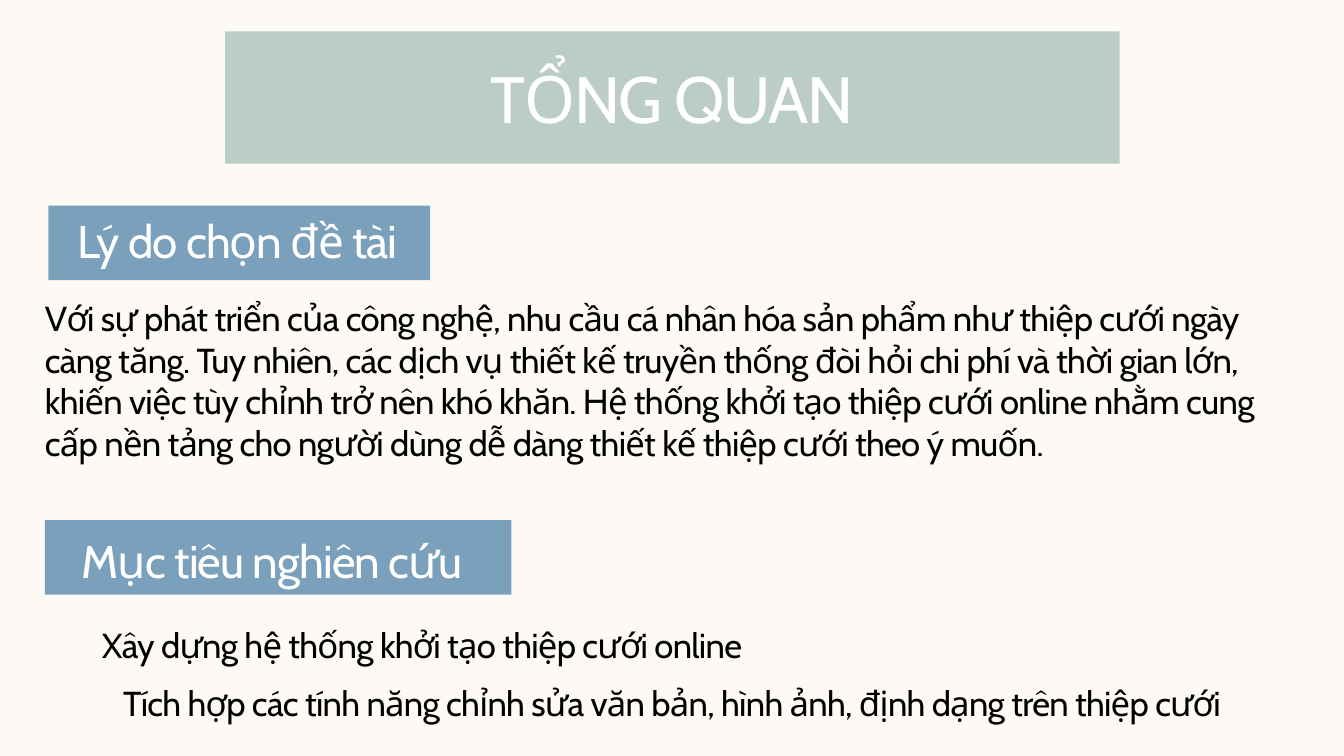
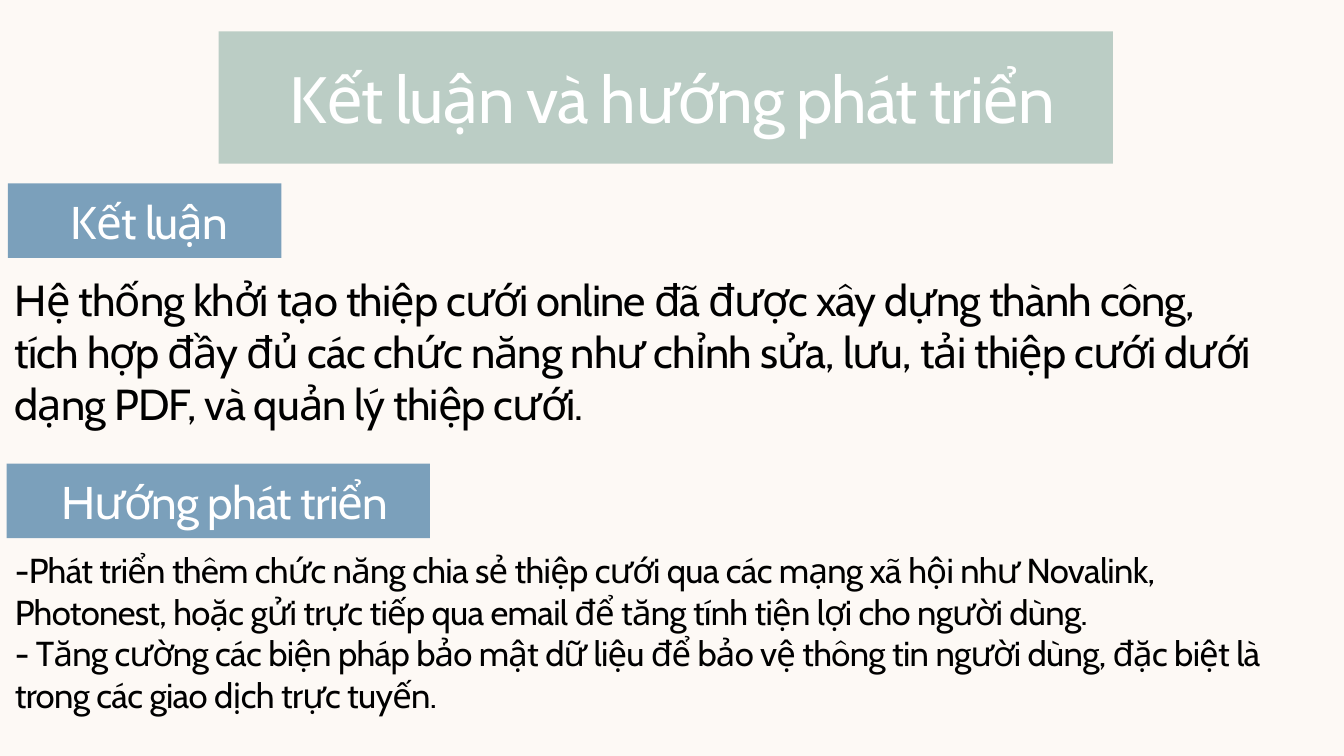
"""Build two overview and conclusion slides about an online wedding card system."""
from dataclasses import dataclass

from lxml import etree
from pptx import Presentation
from pptx import util as u
from pptx.dml.color import RGBColor
from pptx.enum import shapes, text
from pptx.oxml.ns import qn


@dataclass(frozen=True)
class Theme:
    font: str = "Cabin"
    page: str = "FDF9F5"
    title_band: str = "BBCDC5"
    heading_band: str = "7BA0BB"
    light: str = "FFFFFF"
    dark: str = "000000"
    title_size: float = 70.1
    heading_size: float = 49.1
    large_size: float = 46.5
    body_size: float = 37.1
    line_factor: float = 1.2
    tracking: float = -0.02


THEME = Theme()
WIDTH, HEIGHT = 50.8, 28.58
TITLE_BAND = (1.19, 33.81, 5.0)
TITLE_TEXT = (8.51, 2.21, 33.81, 3.0)
HEADING_BAND_HEIGHT, HEADING_TEXT_HEIGHT = 2.82, 2.06
LEFT, CENTER = text.PP_ALIGN.LEFT, text.PP_ALIGN.CENTER

PAGES = [
    {
        "title": "TỔNG QUAN",
        "band_left": 8.51,
        "headings": [
            {"text": "Lý do chọn đề tài", "band": (1.83, 7.77, 14.43), "label": (1.14, 8.03, 15.7)},
            {"text": "Mục tiêu nghiên cứu", "band": (1.7, 19.66, 17.63), "label": (1.22, 20.14, 18.14)},
        ],
        "body": {
            "lines": [
                "Với sự phát triển của công nghệ, nhu cầu cá nhân hóa sản phẩm như thiệp cưới ngày "
                "càng tăng. Tuy nhiên, các dịch vụ thiết kế truyền thống đòi hỏi chi phí và thời gian "
                "lớn, khiến việc tùy chỉnh trở nên khó khăn. Hệ thống khởi tạo thiệp cưới online nhằm "
                "cung cấp nền tảng cho người dùng dễ dàng thiết kế thiệp cưới theo ý muốn."
            ],
            "area": (1.7, 11.23, 46.23, 7.95),
        },
        "notes": [
            {
                "line": "Xây dựng hệ thống khởi tạo thiệp cưới online",
                "area": (1.22, 23.57, 29.46, 1.55), "size": THEME.body_size, "align": CENTER,
            },
            {
                "line": "Tích hợp các tính năng chỉnh sửa văn bản, hình ảnh, định dạng trên thiệp cưới",
                "area": (0.61, 25.78, 49.58, 1.55), "size": THEME.body_size, "align": CENTER,
            },
        ],
    },
    {
        "title": "Kết luận và hướng phát triển",
        "band_left": 8.26,
        "headings": [
            {"text": "Kết luận", "band": (0.3, 6.93, 10.34), "label": (-0.48, 7.32, 12.27)},
            {"text": "Hướng phát triển", "band": (0.25, 17.53, 16.0), "label": (-0.97, 17.91, 18.95)},
        ],
        "body": {
            "lines": [
                "-Phát triển thêm chức năng chia sẻ thiệp cưới qua các mạng xã hội như Novalink, "
                "Photonest, hoặc gửi trực tiếp qua email để tăng tính tiện lợi cho người dùng.",
                "- Tăng cường các biện pháp bảo mật dữ liệu để bảo vệ thông tin người dùng, đặc biệt là "
                "trong các giao dịch trực tuyến.",
            ],
            "area": (0.56, 20.75, 49.02, 7.82),
        },
        "notes": [
            {
                "line": "Hệ thống khởi tạo thiệp cưới online đã được xây dựng thành công, tích hợp đầy đủ "
                "các chức năng như chỉnh sửa, lưu, tải thiệp cưới dưới dạng PDF, và quản lý thiệp cưới.",
                "area": (0.56, 10.31, 46.74, 7.9), "size": THEME.large_size, "align": LEFT,
            },
        ],
    },
]


def color(value):
    return RGBColor.from_string(value)


def add_band(page, area, fill):
    band = page.shapes.add_shape(shapes.MSO_SHAPE.RECTANGLE, *map(u.Cm, area))
    band.shadow.inherit = False
    band.fill.solid()
    band.fill.fore_color.rgb = color(fill)
    band.line.fill.background()


def add_box(page):
    return page.shapes.add_textbox(0, 0, 0, 0)


def write(page, box, area, lines, size, ink, align):
    page.shapes._spTree.append(box._element)
    box.left, box.top, box.width, box.height = map(u.Cm, area)
    frame = box.text_frame
    frame.text = "\n".join(lines)
    frame.word_wrap = True
    frame.auto_size = text.MSO_AUTO_SIZE.NONE
    frame.vertical_anchor = text.MSO_ANCHOR.TOP
    frame.margin_left = frame.margin_top = frame.margin_right = frame.margin_bottom = 0
    for para in frame.paragraphs:
        settings = para._p.get_or_add_pPr()
        settings.set("marL", "0")
        settings.set("indent", "0")
        etree.SubElement(settings, qn("a:buNone"))
        para.alignment = align
        para.line_spacing = u.Pt(size * THEME.line_factor)
        para.space_before = para.space_after = u.Pt(0)
        for span in para.runs:
            span.font.name = THEME.font
            span.font.size = u.Pt(size)
            span.font.color.rgb = color(ink)
            span._r.get_or_add_rPr().set("spc", str(round(size * THEME.tracking * 100)))


def build_page(deck, content):
    page = deck.slides.add_slide(deck.slide_layouts[1])
    title, body = page.placeholders
    top, width, height = TITLE_BAND
    add_band(page, (content["band_left"], top, width, height), THEME.title_band)
    write(page, title, TITLE_TEXT, [content["title"]], THEME.title_size, THEME.light, CENTER)
    for heading in content["headings"]:
        add_band(page, (*heading["band"], HEADING_BAND_HEIGHT), THEME.heading_band)
        write(page, add_box(page), (*heading["label"], HEADING_TEXT_HEIGHT),
              [heading["text"]], THEME.heading_size, THEME.light, CENTER)
    for note in content["notes"]:
        write(page, add_box(page), note["area"], [note["line"]], note["size"], THEME.dark, note["align"])
    write(page, body, content["body"]["area"], content["body"]["lines"],
          THEME.body_size, THEME.dark, LEFT)


def main():
    deck = Presentation()
    deck.slide_width, deck.slide_height = u.Cm(WIDTH), u.Cm(HEIGHT)
    backdrop = deck.slide_master.background.fill
    backdrop.solid()
    backdrop.fore_color.rgb = color(THEME.page)
    for content in PAGES:
        build_page(deck, content)
    deck.save("out.pptx")


if __name__ == "__main__":
    main()
